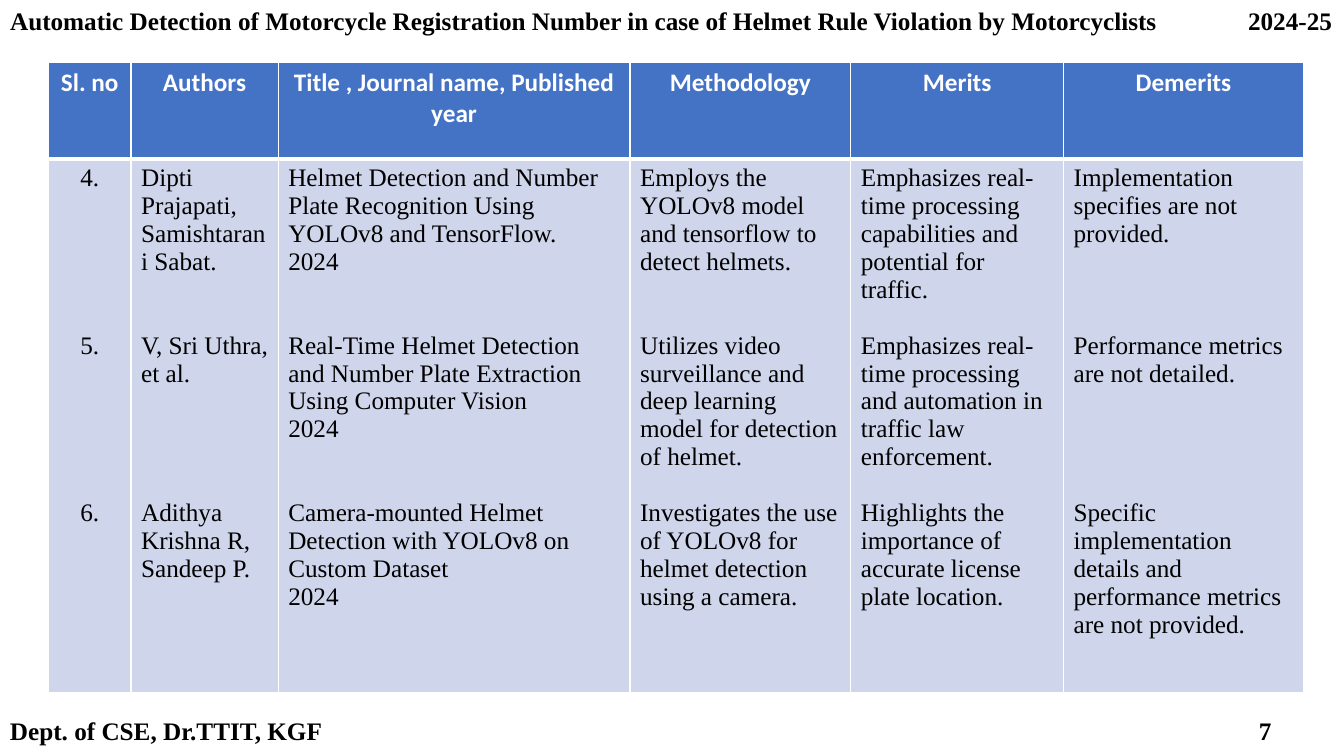
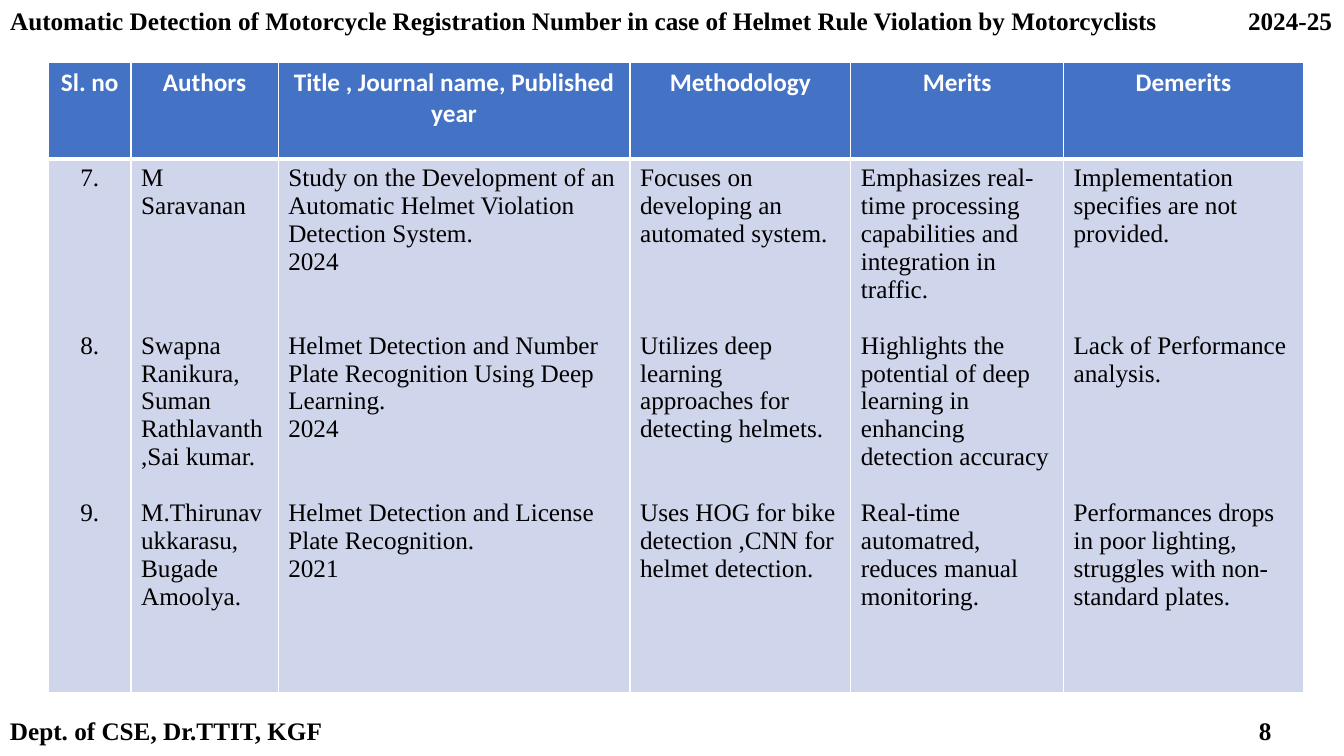
"""Build two literature survey slides with a shared header, footer and table design."""
import pptx
import pptx.dml.color
import pptx.enum.text
import pptx.oxml.ns
import pptx.util
from lxml import etree

COLORS = {"header": "4472C4", "body": "CFD5EA", "border": "FFFFFF", "light": "FFFFFF", "dark": "000000"}
SERIF, SANS = "Times New Roman", "Calibri"
ALIGN = pptx.enum.text.PP_ALIGN
TEXT_SIZE = 18
TEXT_LINE = 19.93
SLIDE_WIDTH, SLIDE_HEIGHT = pptx.util.Inches(13.33), pptx.util.Inches(7.5)
COLUMN_SHARES = [6.15, 10.95, 26.18, 16.43, 15.83, 17.85]
ROW_SHARES = [12.8, 70.53]
TABLE_LEFT, TABLE_TOP = 3.6, 8.27
BAND_HEIGHT, FOOTER_TOP = 5.33, 94

PROJECT = ("Automatic Detection of Motorcycle Registration Number in case of "
           "Helmet Rule Violation by Motorcyclists")
YEAR = "2024-25"
DEPARTMENT = "Dept. of CSE, Dr.TTIT, KGF"
HEADINGS = ["Sl. no", "Authors", "Title , Journal name, Published year", "Methodology", "Merits", "Demerits"]

# Each entry pairs the empty lines above it with its paragraphs.
SURVEYS = {
    "7": [
        [(0, "4."), (5, "5."), (5, "6.")],
        [(0, "Dipti Prajapati,\nSamishtarani Sabat."),
         (2, "V, Sri Uthra, et al."),
         (4, "Adithya Krishna R,\nSandeep P.")],
        [(0, "Helmet Detection and Number Plate Recognition Using YOLOv8 and TensorFlow.\n2024"),
         (2, "Real-Time Helmet Detection and Number Plate Extraction Using Computer Vision\n2024"),
         (2, "Camera-mounted Helmet Detection with YOLOv8 on Custom Dataset\n2024")],
        [(0, "Employs the YOLOv8 model and tensorflow to detect helmets."),
         (2, "Utilizes video surveillance and deep learning model for detection of helmet."),
         (1, "Investigates the use of YOLOv8 for helmet detection using a camera.")],
        [(0, "Emphasizes real-time processing capabilities and potential for traffic."),
         (1, "Emphasizes real-time processing and automation in traffic law enforcement."),
         (1, "Highlights the importance of accurate license plate location.")],
        [(0, "Implementation specifies are not provided."),
         (3, "Performance metrics are not detailed."),
         (4, "Specific implementation details and performance metrics are not provided.")],
    ],
    "8": [
        [(0, "7."), (5, "8."), (5, "9.")],
        [(0, "M Saravanan"),
         (4, "Swapna Ranikura,\nSuman Rathlavanth,Sai kumar."),
         (1, "M.Thirunavukkarasu,\nBugade Amoolya.")],
        [(0, "Study on the Development of an Automatic Helmet Violation Detection System.\n2024"),
         (2, "Helmet Detection and Number Plate Recognition Using Deep Learning.\n2024"),
         (2, "Helmet Detection and License Plate Recognition.\n2021")],
        [(0, "Focuses on developing an automated system."),
         (3, "Utilizes deep learning approaches for detecting helmets."),
         (2, "Uses HOG for bike detection ,CNN for helmet detection.")],
        [(0, "Emphasizes real-time processing capabilities and integration in traffic."),
         (1, "Highlights the potential of deep learning in enhancing detection accuracy"),
         (1, "Real-time automatred, reduces manual monitoring.")],
        [(0, "Implementation specifies are not provided."),
         (3, "Lack of Performance analysis."),
         (4, "Performances drops in poor lighting, struggles with non-standard plates.")],
    ],
}


def across(share):
    return int(SLIDE_WIDTH * share / 100)


def down(share):
    return int(SLIDE_HEIGHT * share / 100)


def format_paragraph(para, font=SERIF, color="dark", bold=False, align=ALIGN.LEFT, gap=0):
    para.alignment = align
    para.line_spacing = 1.0
    para.space_before = pptx.util.Pt(gap)
    for span in para.runs:
        span.font.name = font
        span.font.size = pptx.util.Pt(TEXT_SIZE)
        span.font.bold = bold
        span.font.color.rgb = pptx.dml.color.RGBColor.from_string(COLORS[color])


def fill_band(box, text, left, top, width, align=ALIGN.LEFT):
    box.left, box.top = across(left), down(top)
    box.width, box.height = across(width), down(BAND_HEIGHT)
    frame = box.text_frame
    frame.text = text
    frame.word_wrap = True
    frame.auto_size = pptx.enum.text.MSO_AUTO_SIZE.NONE
    frame.vertical_anchor = pptx.enum.text.MSO_ANCHOR.TOP
    format_paragraph(frame.paragraphs[0], bold=True, align=align)


def add_band(page, text, left, top, width, align=ALIGN.LEFT):
    fill_band(page.shapes.add_textbox(0, 0, 0, 0), text, left, top, width, align)


def style_cell(cell, color, top, bottom):
    cell.fill.solid()
    cell.fill.fore_color.rgb = pptx.dml.color.RGBColor.from_string(COLORS[color])
    name = pptx.oxml.ns.qn
    properties = cell._tc.get_or_add_tcPr()
    for place, (side, points) in enumerate([("L", 1), ("R", 1), ("T", top), ("B", bottom)]):
        line = etree.Element(name(f"a:ln{side}"), w=str(pptx.util.Pt(points)))
        solid = etree.SubElement(line, name("a:solidFill"))
        etree.SubElement(solid, name("a:srgbClr"), val=COLORS["border"])
        properties.insert(place, line)


def write_entries(cell, entries, align):
    gaps = []
    for lines, text in entries:
        gaps += [lines * TEXT_LINE] + [0] * text.count("\n")
    cell.text_frame.text = "\n".join(text for lines, text in entries)
    for para, gap in zip(cell.text_frame.paragraphs, gaps):
        format_paragraph(para, align=align, gap=gap)


def add_survey_table(page, columns):
    frame = page.shapes.add_table(len(ROW_SHARES), len(COLUMN_SHARES), across(TABLE_LEFT), down(TABLE_TOP),
                                  across(sum(COLUMN_SHARES)), down(sum(ROW_SHARES)))
    table = frame.table
    for row, share in zip(table.rows, ROW_SHARES):
        row.height = down(share)
    for index, (share, heading, entries) in enumerate(zip(COLUMN_SHARES, HEADINGS, columns)):
        table.columns[index].width = across(share)
        head, body = table.cell(0, index), table.cell(1, index)
        head.text_frame.text = heading
        format_paragraph(head.text_frame.paragraphs[0], SANS, "light", True, ALIGN.CENTER)
        write_entries(body, entries, ALIGN.LEFT if index else ALIGN.CENTER)
        style_cell(head, "header", 1, 3)
        style_cell(body, "body", 3, 1)


def add_survey_page(deck, number, columns):
    page = deck.slides.add_slide(deck.slide_layouts.get_by_name("Title Only"))
    fill_band(page.shapes.title, PROJECT, 0, 0, 90)
    add_band(page, YEAR, 90, 0, 9.85, ALIGN.RIGHT)
    add_survey_table(page, columns)
    add_band(page, DEPARTMENT, 0, FOOTER_TOP, 50)
    add_band(page, number, 85.35, FOOTER_TOP, 10, ALIGN.RIGHT)


def main():
    deck = pptx.Presentation()
    deck.slide_width, deck.slide_height = SLIDE_WIDTH, SLIDE_HEIGHT
    for number, columns in SURVEYS.items():
        add_survey_page(deck, number, columns)
    deck.save("out.pptx")


if __name__ == "__main__":
    main()
